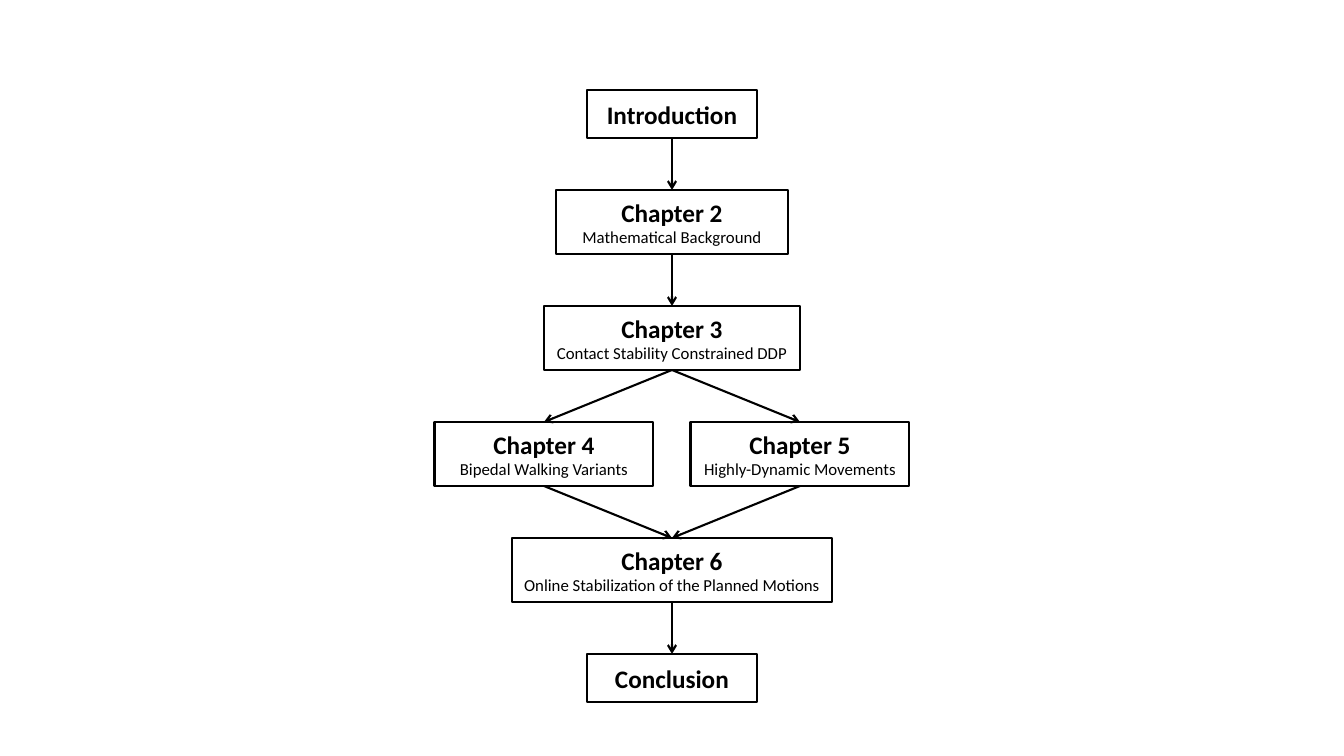
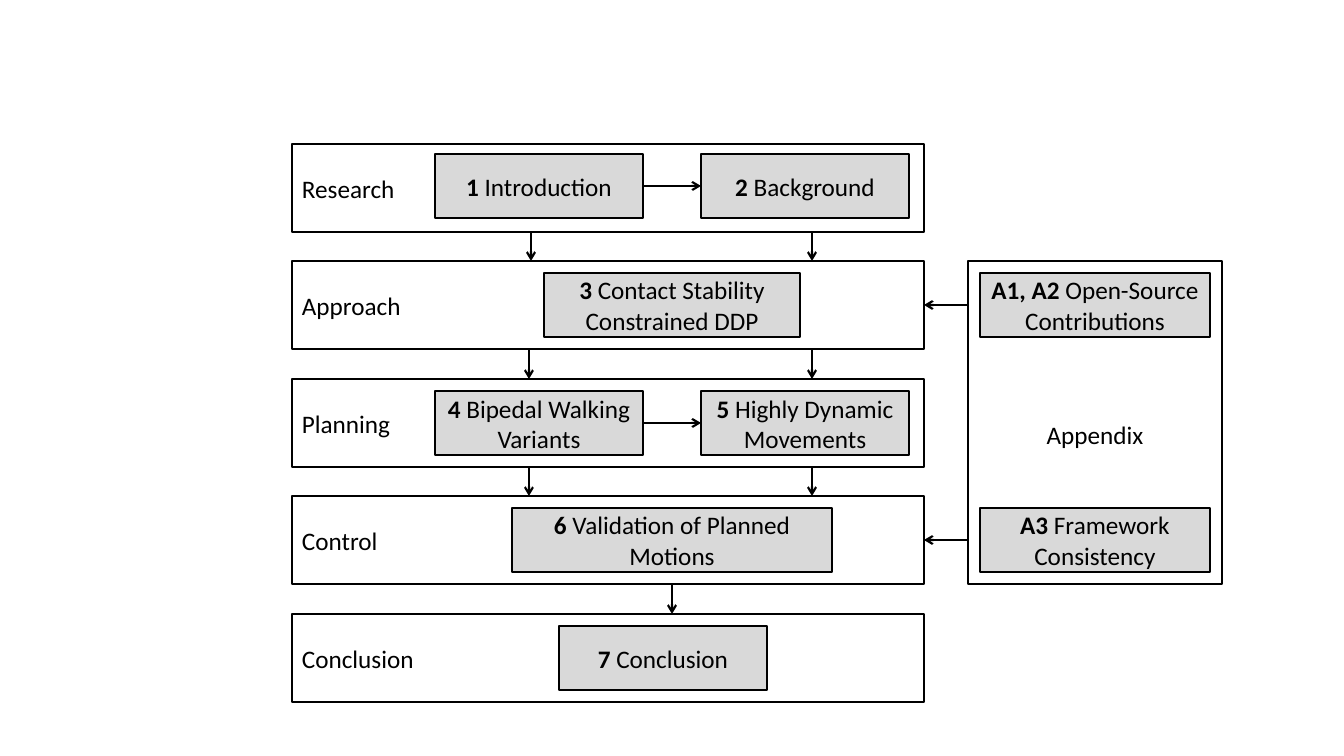
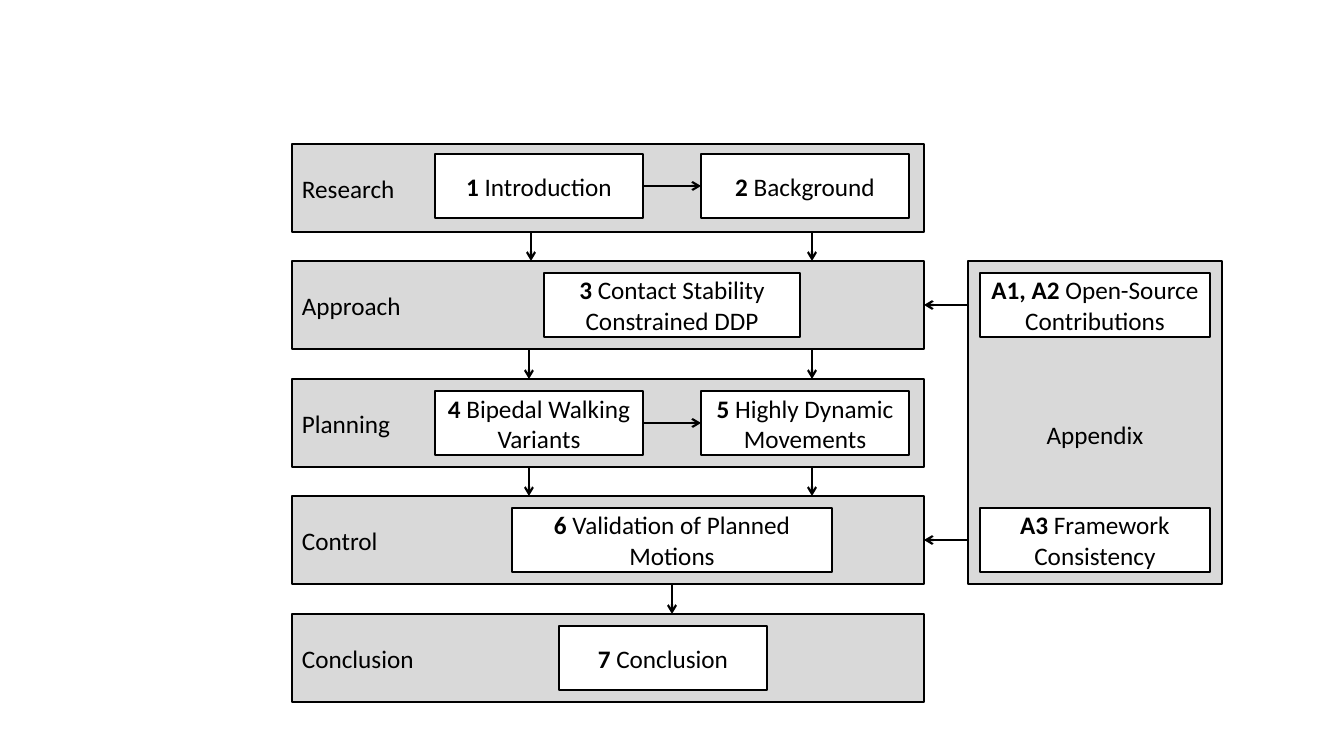
from pptx import Presentation
from pptx import util as u
from pptx.dml.color import RGBColor
from pptx.enum import shapes, text
from pptx.oxml.ns import qn
from lxml import etree

PX = 914400 / 100.8
BLACK = RGBColor(0x00, 0x00, 0x00)
WHITE = RGBColor(0xFF, 0xFF, 0xFF)
GREY = RGBColor(0xD9, 0xD9, 0xD9)
FONT = {"name": "Calibri", "size": u.Pt(18), "bold": False}
LINE_WIDTH = u.Pt(1.5)
TOP, LEFT, BOTTOM, RIGHT = range(4)
CENTER, START = text.PP_ALIGN.CENTER, text.PP_ALIGN.LEFT

FLOW_AXIS, FLOW_TOP, FLOW_GAP = 672, 90, 52
FLOW_ROWS = [
    (48, [(0, 170, "Introduction", None)]),
    (64, [(0, 232, "Chapter 2", "Mathematical Background")]),
    (64, [(0, 256, "Chapter 3", "Contact Stability Constrained DDP")]),
    (64, [(-128, 219, "Chapter 4", "Bipedal Walking Variants"),
          (128, 219, "Chapter 5", "Highly-Dynamic Movements")]),
    (64, [(0, 320, "Chapter 6", "Online Stabilization of the Planned Motions")]),
    (48, [(0, 170, "Conclusion", None)]),
]

BAND_LEFT, BAND_TOP, BAND_WIDTH, BAND_HEIGHT = 292, 144, 632, 88
BAND_TOPS = [BAND_TOP + 235 * i // 2 for i in range(5)]
APPENDIX_LEFT, APPENDIX_WIDTH = 968, 254
CHAPTER_HEIGHT, INSET = 64, 12
BANDS = [
    ("Research", 10, [(143, 208, "1", "Introduction"),
                      (409, 208, "2", "Background")], (239, 520)),
    ("Approach", INSET, [(252, 256, "3", "Contact Stability Constrained DDP")], (237, 520)),
    ("Planning", INSET, [(143, 208, "4", "Bipedal Walking Variants"),
                         (409, 208, "5", "Highly Dynamic Movements")], (237, 520)),
    ("Control", INSET, [(220, 320, "6", "Validation of Planned Motions")], (380,)),
    ("Conclusion", INSET, [(267, 208, "7", "Conclusion")], ()),
]


def px(n):
    return u.Emu(round(n * PX))


def add_box(s, left, top, width, height, paragraphs, fill=None, align=CENTER):
    sp = s.shapes.add_shape(shapes.MSO_SHAPE.RECTANGLE, *map(px, (left, top, width, height)))
    sp.shadow.inherit = False
    if fill is None:
        sp.fill.background()
    else:
        sp.fill.solid()
        sp.fill.fore_color.rgb = fill
    sp.line.color.rgb = BLACK
    sp.line.width = LINE_WIDTH
    tf = sp.text_frame
    tf.word_wrap = True
    tf.vertical_anchor = text.MSO_ANCHOR.MIDDLE
    for i, runs in enumerate(paragraphs):
        p = tf.add_paragraph() if i else tf.paragraphs[0]
        p.alignment = align
        for words, style in runs:
            r = p.add_run()
            r.text = words
            for key, value in {**FONT, **style}.items():
                setattr(r.font, key, value)
            r.font.color.rgb = BLACK
    return sp


def add_arrow(s, x1, y1, x2, y2):
    c = s.shapes.add_connector(shapes.MSO_CONNECTOR.STRAIGHT, *map(px, (x1, y1, x2, y2)))
    c.line.color.rgb = BLACK
    c.line.width = LINE_WIDTH
    etree.SubElement(c.line._get_or_add_ln(), qn("a:tailEnd"), type="arrow")
    etree.SubElement(c._element.spPr, qn("a:effectLst"))
    return c


def link(s, source, source_site, target, target_site):
    c = add_arrow(s, 0, 0, 0, 0)
    c.begin_connect(source, source_site)
    c.end_connect(target, target_site)


def add_flow(s, axis, top):
    above = []
    for height, row in FLOW_ROWS:
        current = []
        for offset, width, heading, subtitle in row:
            paragraphs = [[(heading, {"bold": True})]]
            if subtitle:
                paragraphs.append([(subtitle, {"size": u.Pt(12)})])
            current.append(add_box(s, axis + offset - width / 2, top, width, height, paragraphs))
        for source in above:
            for target in current:
                link(s, source, BOTTOM, target, TOP)
        above = current
        top += height + FLOW_GAP


def add_chapter(s, left, top, width, number, name, fill):
    runs = [(number + " ", {"bold": True}), (name, {})]
    return add_box(s, left, top, width, CHAPTER_HEIGHT, [runs], fill)


def add_band(s, left, top, band, band_fill, chapter_fill):
    label, inset, chapters, _ = band
    add_box(s, left, top, BAND_WIDTH, BAND_HEIGHT, [[(label, {})]], band_fill, START)
    boxes = [add_chapter(s, left + x, top + inset, width, number, name, chapter_fill)
             for x, width, number, name in chapters]
    for source, target in zip(boxes, boxes[1:]):
        link(s, source, RIGHT, target, LEFT)


def add_appendix(s, left, top, width, height, band_fill, chapter_fill):
    sp = add_box(s, left, top, width, height, [[("Appendix", {})]], band_fill)
    sp.text_frame.margin_top = px(29)
    for y, number, name in [
        (top + INSET, "A1, A2", "Open-Source Contributions"),
        (top + height - INSET - CHAPTER_HEIGHT, "A3", "Framework Consistency"),
    ]:
        add_chapter(s, left + INSET, y, width - 2 * INSET, number, name, chapter_fill)
        middle = y + CHAPTER_HEIGHT / 2
        add_arrow(s, left, middle, BAND_LEFT + BAND_WIDTH, middle)


def add_overview(s, band_fill, chapter_fill):
    for top, band in zip(BAND_TOPS, BANDS):
        add_band(s, BAND_LEFT, top, band, band_fill, chapter_fill)
    for top, next_top, band in zip(BAND_TOPS, BAND_TOPS[1:], BANDS):
        for x in band[-1]:
            add_arrow(s, BAND_LEFT + x, top + BAND_HEIGHT, BAND_LEFT + x, next_top)
    height = BAND_TOPS[3] + BAND_HEIGHT - BAND_TOPS[1]
    add_appendix(s, APPENDIX_LEFT, BAND_TOPS[1], APPENDIX_WIDTH, height, band_fill, chapter_fill)


prs = Presentation()
prs.slide_width, prs.slide_height = px(1344), px(756)
blank = prs.slide_layouts[6]
add_flow(prs.slides.add_slide(blank), FLOW_AXIS, FLOW_TOP)
for band_fill, chapter_fill in [(None, GREY), (GREY, WHITE)]:
    add_overview(prs.slides.add_slide(blank), band_fill, chapter_fill)
prs.save("out.pptx")
